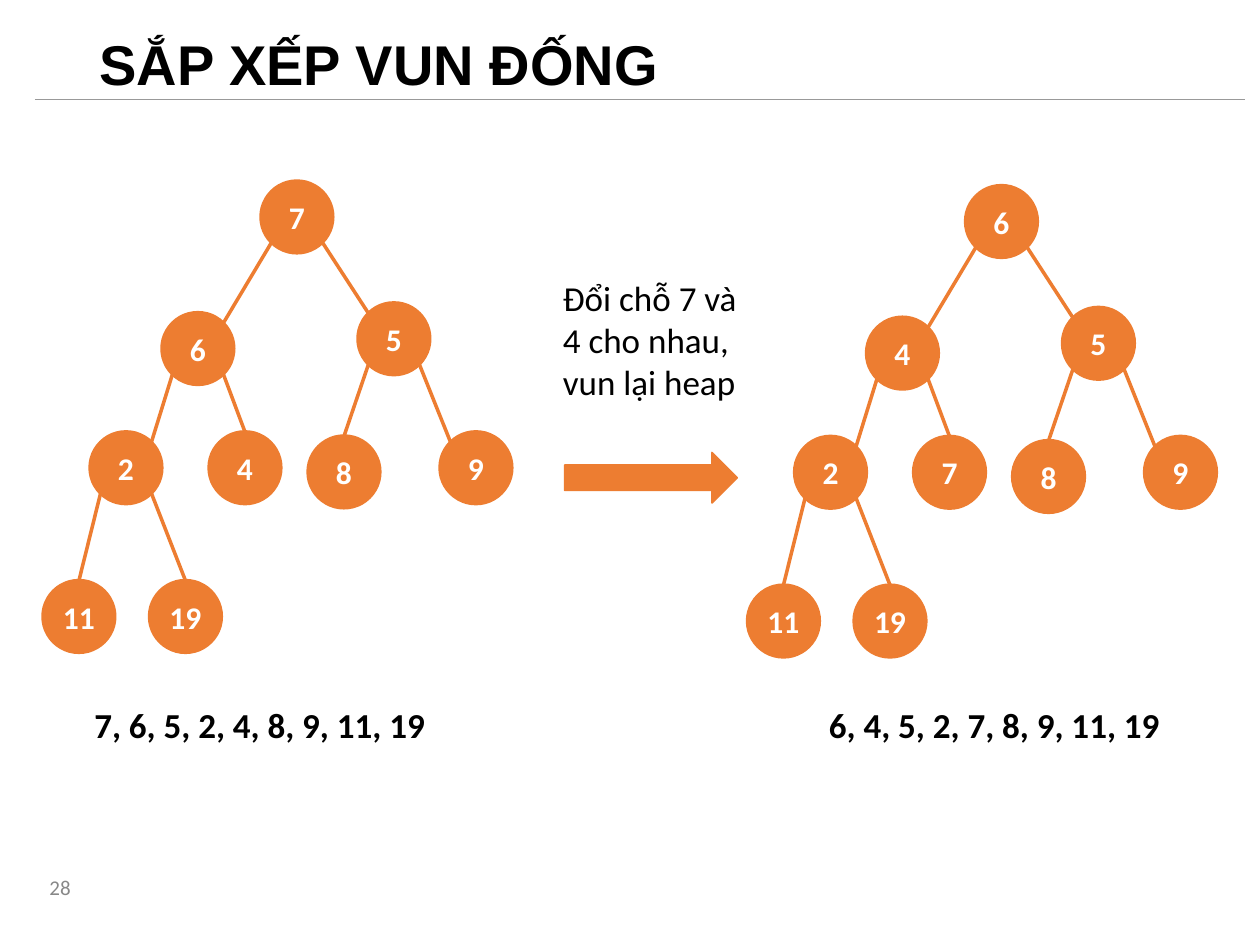
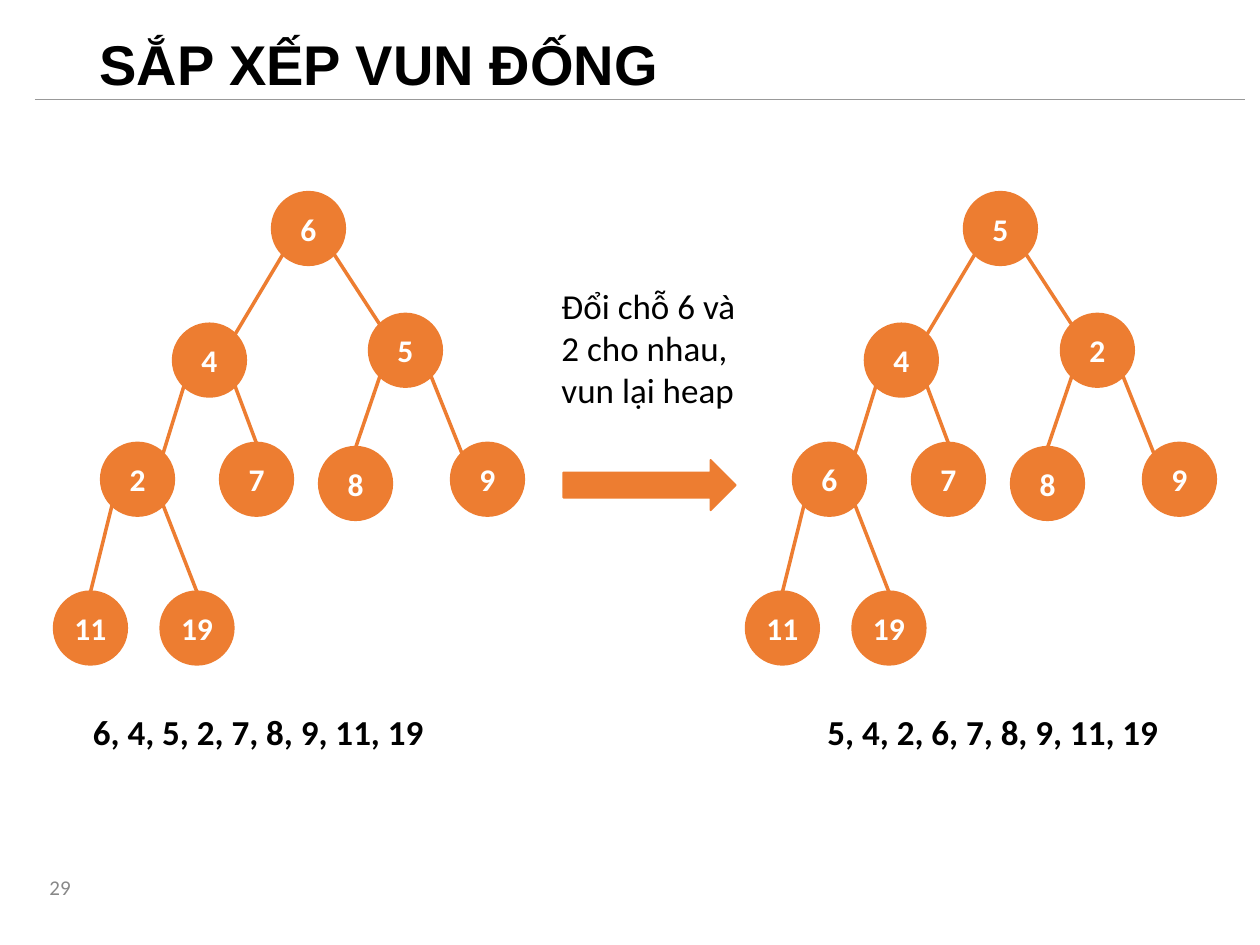
import dataclasses
import math

import pptx
import pptx.dml.color
import pptx.enum.shapes
import pptx.enum.text
import pptx.oxml
import pptx.oxml.ns
import pptx.util

Pt = pptx.util.Pt
RGBColor = pptx.dml.color.RGBColor
ShapeType = pptx.enum.shapes.MSO_SHAPE
Align = pptx.enum.text.PP_ALIGN
Anchor = pptx.enum.text.MSO_ANCHOR


@dataclasses.dataclass(frozen=True)
class Theme:
    accent: RGBColor = RGBColor(0xED, 0x7D, 0x31)
    ink: RGBColor = RGBColor(0, 0, 0)
    node_text: RGBColor = RGBColor(255, 255, 255)
    page_number: RGBColor = RGBColor(0x88, 0x88, 0x88)
    rule: RGBColor = RGBColor(0x99, 0x99, 0x99)
    title_font: str = "Arial"
    body_font: str = "Calibri"
    title_size: int = 32
    body_size: int = 20
    node_size: int = 18
    page_number_size: int = 12


THEME = Theme()
TITLE = "SẮP XẾP VUN ĐỐNG"
NODE_DIAMETER = 41

# Node offsets from the tree's left and top edges, in heap (level) order.
NODE_OFFSETS = [
    (124.6, 0),
    (68, 75.2), (180, 69.6),
    (26.9, 143.3), (94.9, 143.3), (151.5, 145.7), (226.9, 143.3),
    (0, 228.3), (60.9, 228.3),
]

# Connection sites of a circle run anticlockwise from the top in 45° steps.
TOP, TOP_LEFT, BOTTOM_LEFT, BOTTOM_RIGHT, TOP_RIGHT = 0, 1, 3, 5, 7
CHILD_SITES = [TOP_RIGHT, TOP_LEFT, TOP_RIGHT, TOP, TOP, TOP_LEFT, TOP, TOP]


@dataclasses.dataclass(frozen=True)
class HeapStep:
    """One swap: heaps before and after, tree origins, and middle-part shift."""
    page: int
    note: str
    before: list
    after: list
    before_origin: tuple
    after_origin: tuple
    shift: tuple


STEPS = [
    HeapStep(28, "Đổi chỗ 7 và 4 cho nhau, vun lại heap",
             [7, 6, 5, 2, 4, 8, 9, 11, 19], [6, 4, 5, 2, 7, 8, 9, 11, 19],
             (24.6, 103.5), (427.2, 106.1), (0, 0)),
    HeapStep(29, "Đổi chỗ 6 và 2 cho nhau, vun lại heap",
             [6, 4, 5, 2, 7, 8, 9, 11, 19], [5, 4, 2, 6, 7, 8, 9, 11, 19],
             (31.2, 110.1), (426.6, 110.1), (-0.8, 4.2)),
]


def style_font(font, size, color, name=THEME.body_font, bold=False):
    font.name = name
    font.size = Pt(size)
    font.bold = bold
    font.color.rgb = color


def add_title(slide, text):
    title = slide.shapes.title
    title.left, title.top, title.width, title.height = map(Pt, (49.7, 9.4, 620.6, 58.3))
    title.text = text
    title.text_frame.auto_size = pptx.enum.text.MSO_AUTO_SIZE.NONE
    title.text_frame.vertical_anchor = Anchor.MIDDLE
    paragraph = title.text_frame.paragraphs[0]
    paragraph.alignment = Align.LEFT
    paragraph.line_spacing = 0.9
    style_font(paragraph.font, THEME.title_size, THEME.ink, THEME.title_font, bold=True)


def add_text(slide, text, left, top, width, height, size=THEME.body_size,
             color=THEME.ink, bold=False, alignment=Align.LEFT, anchor=Anchor.TOP):
    box = slide.shapes.add_textbox(Pt(left), Pt(top), Pt(width), Pt(height))
    frame = box.text_frame
    frame.word_wrap = True
    frame.vertical_anchor = anchor
    frame.text = text
    paragraph = frame.paragraphs[0]
    paragraph.alignment = alignment
    style_font(paragraph.font, size, color, bold=bold)


def add_filled_shape(slide, kind, left, top, width, height, line_width):
    shape = slide.shapes.add_shape(kind, Pt(left), Pt(top), Pt(width), Pt(height))
    shape.shadow.inherit = False
    shape.fill.solid()
    shape.fill.fore_color.rgb = THEME.accent
    shape.line.color.rgb = THEME.accent
    shape.line.width = Pt(line_width)
    return shape


def add_line(slide, begin, end, color, width):
    """Draw a straight line between two points given in EMU."""
    line = slide.shapes.add_connector(
        pptx.enum.shapes.MSO_CONNECTOR.STRAIGHT, *begin, *end)
    line.line.color.rgb = color
    line.line.width = Pt(width)
    properties = line._element.spPr
    properties.append(pptx.oxml.parse_xml(
        f'<a:effectLst {pptx.oxml.ns.nsdecls("a")}/>'))
    return line


def add_node(slide, value, left, top):
    node = add_filled_shape(slide, ShapeType.FLOWCHART_CONNECTOR, left, top,
                            NODE_DIAMETER, NODE_DIAMETER, line_width=2)
    frame = node.text_frame
    frame.margin_left = frame.margin_right = frame.margin_top = frame.margin_bottom = 0
    frame.vertical_anchor = Anchor.MIDDLE
    frame.text = str(value)
    paragraph = frame.paragraphs[0]
    paragraph.alignment = Align.CENTER
    style_font(paragraph.font, THEME.node_size, THEME.node_text, bold=True)
    return node


def site_point(node, site):
    """Return the point on the circle's edge at a connection site."""
    angle = math.radians(45 * site)
    radius = node.width / 2
    return (round(node.left + radius - radius * math.sin(angle)),
            round(node.top + radius - radius * math.cos(angle)))


def add_edge(slide, parent, parent_site, child, child_site):
    begin, end = site_point(parent, parent_site), site_point(child, child_site)
    edge = add_line(slide, begin, end, THEME.accent, 2)
    edge.begin_connect(parent, parent_site % 4)
    edge.end_connect(child, child_site % 4)
    # Connecting assumes four sites, so set the eight-site index and the ends.
    properties = edge._element.nvCxnSpPr.cNvCxnSpPr
    properties.stCxn.idx, properties.endCxn.idx = parent_site, child_site
    edge.begin_x, edge.begin_y = begin
    edge.end_x, edge.end_y = end


def add_heap_tree(slide, values, origin):
    left, top = origin
    nodes = [add_node(slide, value, left + x, top + y)
             for value, (x, y) in zip(values, NODE_OFFSETS)]
    for index, child_site in enumerate(CHILD_SITES, start=1):
        parent_site = BOTTOM_LEFT if index % 2 else BOTTOM_RIGHT
        add_edge(slide, nodes[(index - 1) // 2], parent_site, nodes[index], child_site)


def add_heap_list(slide, values, left, top, width):
    add_text(slide, ", ".join(map(str, values)), left, top, width, 31.5, bold=True)


def add_step_slide(presentation, step):
    slide = presentation.slides.add_slide(presentation.slide_layouts.get_by_name("Title Only"))
    add_title(slide, TITLE)
    add_text(slide, str(step.page), 11.5, 488.9, 36, 36, THEME.page_number_size,
             THEME.page_number, alignment=Align.RIGHT, anchor=Anchor.MIDDLE)
    add_line(slide, (Pt(20), Pt(56.7)), (Pt(711.4), Pt(56.7)), THEME.rule, 0.75)

    shift_x, shift_y = step.shift
    add_filled_shape(slide, ShapeType.RIGHT_ARROW, 322.7 + shift_x, 258.6 + shift_y,
                     98.6, 28.8, line_width=1)
    add_text(slide, step.note, 314.6 + shift_x, 154.7 + shift_y, 126.7, 80)
    add_heap_tree(slide, step.after, step.after_origin)
    add_heap_tree(slide, step.before, step.before_origin)
    add_heap_list(slide, step.before, 46.8 + shift_x, 398.2 + shift_y, 270)
    add_heap_list(slide, step.after, 466.6 + shift_x, 398.2 + shift_y, 232)


def main():
    presentation = pptx.Presentation()
    presentation.slide_width, presentation.slide_height = Pt(720), Pt(540)
    for step in STEPS:
        add_step_slide(presentation, step)
    presentation.save("out.pptx")


if __name__ == "__main__":
    main()
